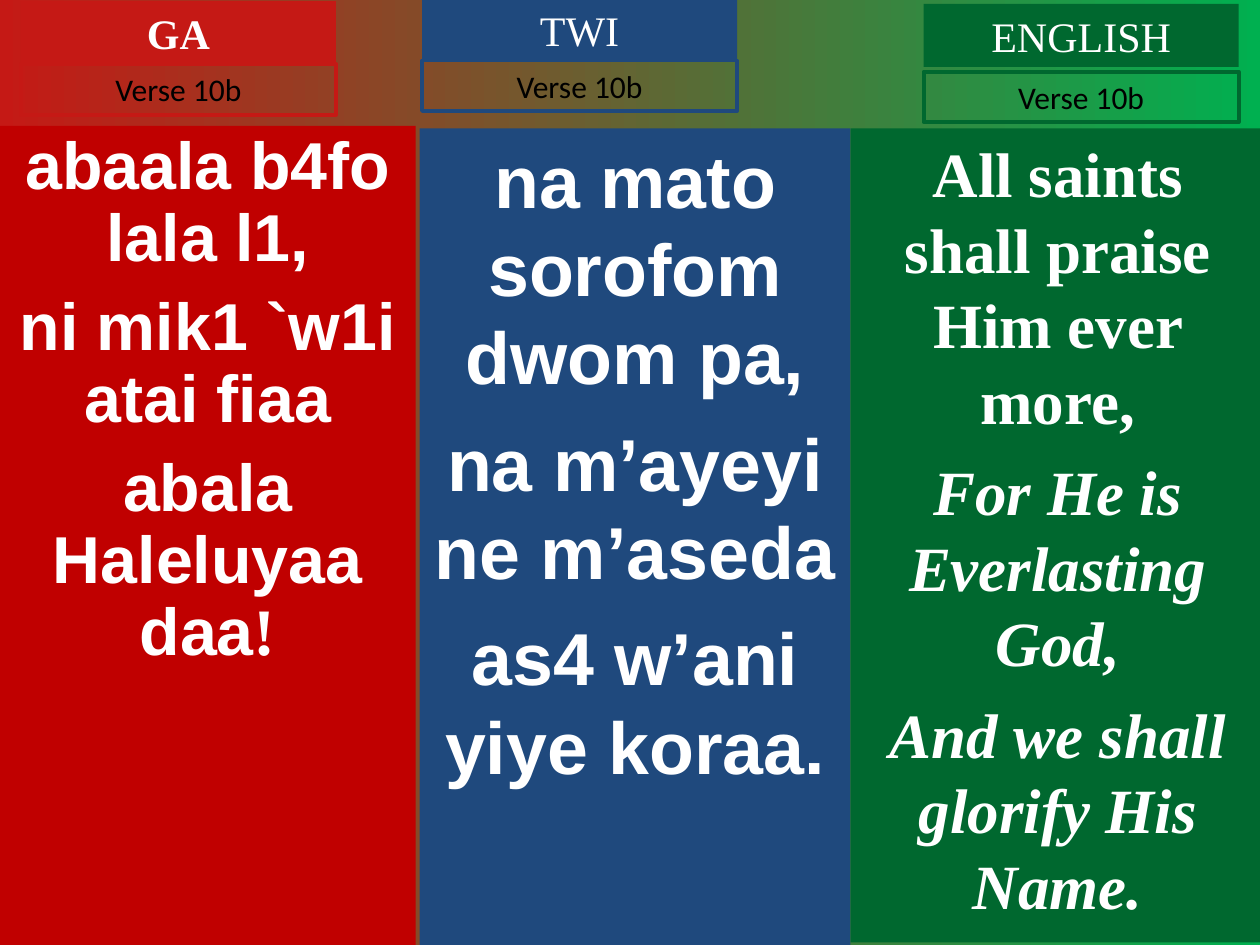
from pptx import Presentation
from pptx.dml.color import RGBColor
from pptx.enum import shapes, text
from pptx.util import Pt

COLORS = {"ga": "C51915", "ga_body": "C00000", "twi": "1F497D",
          "english": "00682F", "green": "00B050", "white": "FFFFFF", "black": "000000"}
SERIF = "Times New Roman"


def rgb(name):
    return RGBColor.from_string(COLORS[name])


def add_box(left, top, width, height, lines, font, size, color,
            fill=None, line=None, bold=False, spacing=1.0, gap=0):
    box = page.shapes.add_shape(shapes.MSO_SHAPE.RECTANGLE,
                                Pt(left), Pt(top), Pt(width), Pt(height))
    box.shadow.inherit = False
    if fill:
        box.fill.solid()
        box.fill.fore_color.rgb = rgb(fill)
    else:
        box.fill.background()
    if line:
        box.line.color.rgb = rgb(line)
        box.line.width = Pt(2.25)
    else:
        box.line.fill.background()
    frame = box.text_frame
    frame.word_wrap = True
    frame.vertical_anchor = text.MSO_ANCHOR.TOP
    frame.text = "\n".join(lines)
    for index, para in enumerate(frame.paragraphs):
        para.alignment = text.PP_ALIGN.CENTER
        para.line_spacing = spacing
        para.space_before = Pt(gap if index else 0)
        for span in para.runs:
            span.font.name = font
            span.font.size = Pt(size)
            span.font.bold = bold
            span.font.color.rgb = rgb(color)
    return box


deck = Presentation()
deck.slide_width, deck.slide_height = Pt(720), Pt(540)
page = deck.slides.add_slide(deck.slide_layouts[6])

# Background gradient from red to green
backdrop = page.background.fill
backdrop.gradient()
backdrop.gradient_angle = 0
for stop, name in zip(backdrop.gradient_stops, ("ga", "green")):
    stop.color.rgb = rgb(name)

# Verse columns: left, top, width, height, fill, font, size, spacing, gap, lines
columns = [
    (0, 72, 237.6, 468, "ga_body", "Arial", 37.9, 0.9, 10.3,
     ["abaala b4fo lala l1,", "ni mik1 `w1i atai fiaa", "abala Haleluyaa daa"]),
    (239.8, 73.4, 246.2, 466.6, "twi", "Arial", 42, 1.0, 10.5,
     ["na mato sorofom dwom pa,", "na m’ayeyi ne m’aseda", "as4 w’ani yiye koraa."]),
    (486, 73.4, 236.9, 465.1, "english", SERIF, 36, 1.0, 9,
     ["All saints shall praise Him ever more,", "For He is Everlasting God,",
      "And we shall glorify His Name."]),
]
bodies = [add_box(left, top, width, height, lines, font, size, "white",
                  fill=fill, bold=True, spacing=spacing, gap=gap)
          for left, top, width, height, fill, font, size, spacing, gap, lines in columns]

# The Ga verse ends in a serif exclamation mark
mark = bodies[0].text_frame.paragraphs[-1].add_run()
mark.text = "!"
mark.font.name, mark.font.size, mark.font.bold = SERIF, Pt(37.9), True
mark.font.color.rgb = rgb("white")

# The last two English lines are italic
for para in bodies[2].text_frame.paragraphs[1:]:
    para.runs[0].font.italic = True

# Language headings with verse labels: name, colour, left, heading top, label top
headings = [("GA", "ga", 12, 0.7, 36.7),
            ("TWI", "twi", 241.2, -0.7, 34.6),
            ("ENGLISH", "english", 527.8, 2.2, 41)]
for name, color, left, heading_top, label_top in headings:
    add_box(left, heading_top, 180, 36, [name], SERIF, 24, "white",
            fill=color, bold=name == "GA")
    add_box(left, label_top, 180, 28.8, ["Verse 10b"], "Calibri", 18, "black", line=color)

deck.save("out.pptx")
